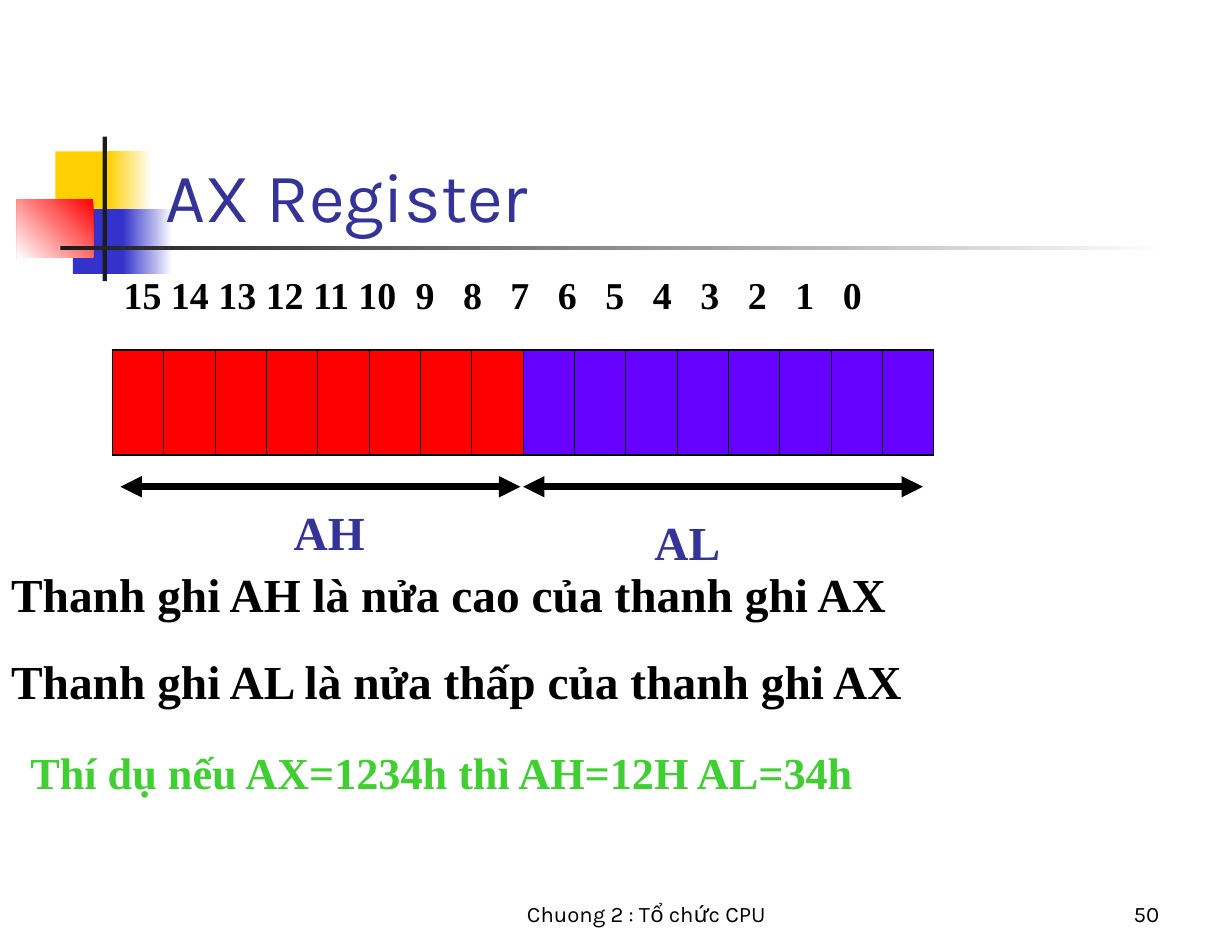
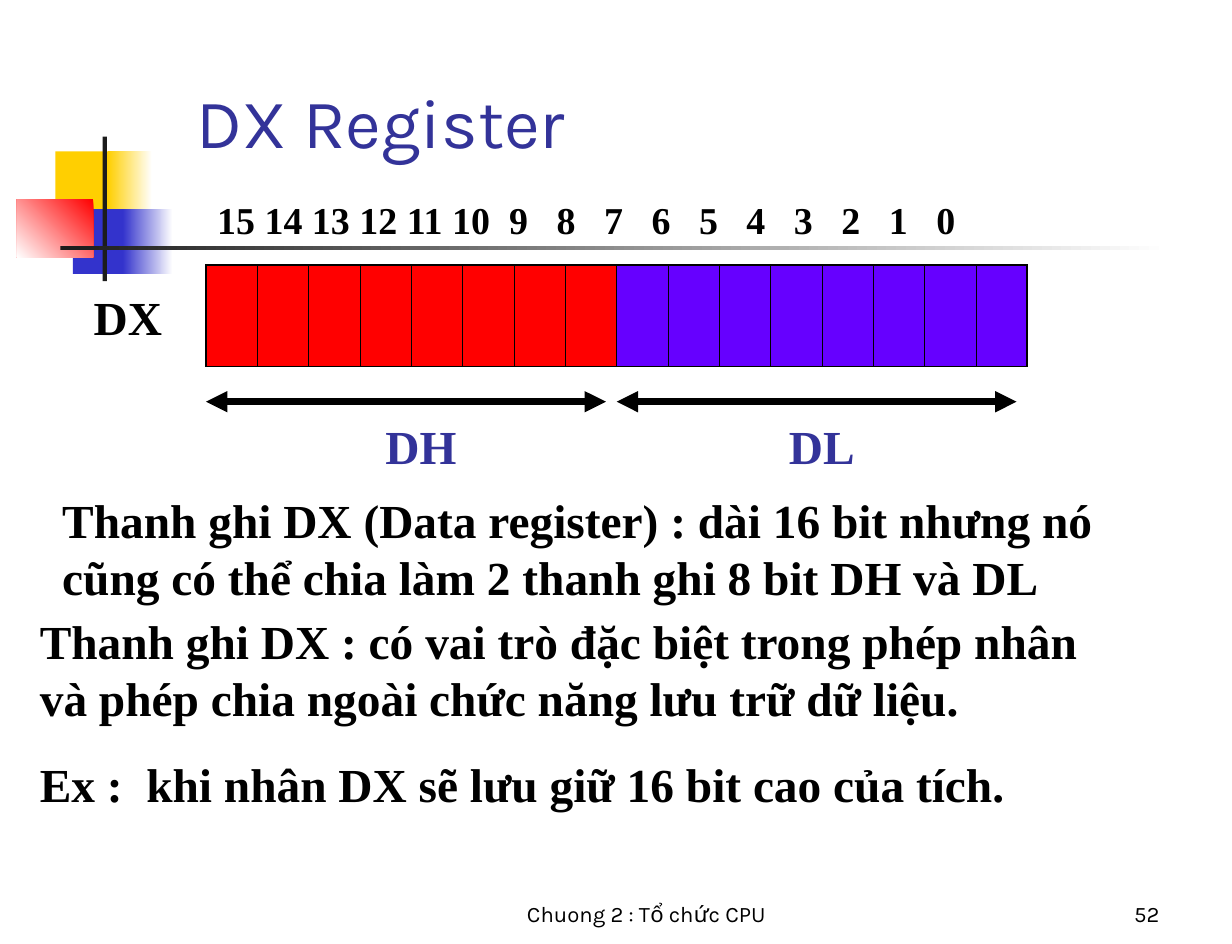
"""Builds two slides on the AX and DX registers."""
import lxml.etree
import pptx
import pptx.dml.color
import pptx.enum.shapes
import pptx.enum.text
import pptx.oxml.ns
import pptx.util

Cm = pptx.util.Cm
Pt = pptx.util.Pt
RGBColor = pptx.dml.color.RGBColor
ALIGN = pptx.enum.text.PP_ALIGN
ANCHOR = pptx.enum.text.MSO_ANCHOR
qn = pptx.oxml.ns.qn

WHITE = RGBColor(0xFF, 0xFF, 0xFF)
BLACK = RGBColor(0x00, 0x00, 0x00)
INK = RGBColor(0x1C, 0x1C, 0x1C)
YELLOW = RGBColor(0xFF, 0xCF, 0x01)
BLUE = RGBColor(0x33, 0x33, 0xCC)
RED = RGBColor(0xFF, 0x00, 0x00)
VIOLET = RGBColor(0x66, 0x00, 0xFF)
NAVY = RGBColor(0x33, 0x33, 0x99)
GREEN = RGBColor(0x40, 0xCF, 0x31)

TITLE = {"name": "Karla", "size": Pt(44)}
FOOTER = {"name": "Karla", "size": Pt(14)}
BODY = {"name": "Times New Roman", "size": Pt(30), "bold": True}
EXAMPLE = {**BODY, "size": Pt(28)}
BITS = {**BODY, "size": Pt(24)}

BIT_COUNT = 16
REGISTER_W = 18.34
FIRST_TAB, TAB_STEP = 6.52, 1.06
ARROW_W = 8.93


class Deck:
    """Holds the presentation style and the current slide."""

    def __init__(self):
        self.prs = pptx.Presentation()
        self.prs.slide_width, self.prs.slide_height = Cm(27.51), Cm(21.08)
        self.s = None

    def slide(self, number, title, x, y):
        self.s = self.prs.slides.add_slide(self.prs.slide_layouts[6])
        self.rect(1.24, 3.38, 1.32, 1.45, YELLOW)
        self.rect(2.41, 3.38, 0.99, 1.45, YELLOW, 0)
        self.rect(1.63, 4.67, 1.27, 1.45, BLUE)
        self.rect(2.74, 4.67, 1.12, 1.45, BLUE, 0)
        self.rect(0.38, 4.45, 1.7, 1.3, RED, 225)
        self.rect(2.29, 3.05, 0.1, 3.23, INK)
        self.rect(1.35, 5.49, 24.74, 0.1, INK, 0)
        self.text(x, y, 13.4, 2.35, [title], TITLE, NAVY, anchor=ANCHOR.BOTTOM)
        self.text(10.08, 19.43, 8.71, 1.4, ["Chuong 2 : Tổ chức CPU"], FOOTER,
                  align=ALIGN.CENTER, anchor=ANCHOR.BOTTOM)
        self.text(20.4, 19.43, 5.74, 1.4, [number], FOOTER,
                  align=ALIGN.RIGHT, anchor=ANCHOR.BOTTOM)

    def rect(self, x, y, w, h, color, fade_angle=None):
        sp = self.s.shapes.add_shape(pptx.enum.shapes.MSO_SHAPE.RECTANGLE,
                                     Cm(x), Cm(y), Cm(w), Cm(h))
        sp.shadow.inherit = False
        sp.line.fill.background()
        if fade_angle is None:
            sp.fill.solid()
            sp.fill.fore_color.rgb = color
            return
        sp.fill.gradient()
        sp.fill.gradient_angle = fade_angle
        for stop, rgb in zip(sp.fill.gradient_stops, (color, WHITE)):
            stop.color.rgb = rgb

    def text(self, x, y, w, h, lines, fmt, color=BLACK, align=ALIGN.LEFT,
             anchor=ANCHOR.TOP):
        sp = self.s.shapes.add_textbox(Cm(x), Cm(y), Cm(w), Cm(h))
        tf = sp.text_frame
        tf.word_wrap = True
        tf.vertical_anchor = anchor
        for i, line in enumerate(lines):
            p = tf.add_paragraph() if i else tf.paragraphs[0]
            p.alignment = align
            if i:
                p.space_before = Pt(18.7)
            r = p.add_run()
            r.text = line
            for key, value in fmt.items():
                setattr(r.font, key, value)
            r.font.color.rgb = color
        return tf

    def label(self, x, y, text, color=NAVY, w=5.5):
        self.text(x, y, w, 1.52, [text], BODY, color, ALIGN.CENTER)

    def bit_numbers(self, x, y):
        high = " ".join(str(n) for n in range(15, 9, -1))
        low = [str(n) for n in range(9, -1, -1)]
        tf = self.text(x, y, 19.02, 1.27, ["\t".join([high, *low])], BITS)
        pPr = tf.paragraphs[0]._p.get_or_add_pPr()
        tabs = lxml.etree.SubElement(pPr, qn("a:tabLst"))
        for i in range(len(low)):
            lxml.etree.SubElement(tabs, qn("a:tab"), algn="l",
                                  pos=str(Cm(FIRST_TAB + i * TAB_STEP)))

    def register(self, x, y, h):
        table = self.s.shapes.add_table(1, BIT_COUNT, Cm(x), Cm(y),
                                        Cm(REGISTER_W), Cm(h)).table
        table.first_row = table.horz_banding = False
        for i, cell in enumerate(table.rows[0].cells):
            cell.fill.solid()
            cell.fill.fore_color.rgb = RED if i < BIT_COUNT // 2 else VIOLET
            outer = {"lnL": i == 0, "lnR": i == BIT_COUNT - 1, "lnT": True, "lnB": True}
            for pos, (side, thick) in enumerate(outer.items()):
                self.border(cell, pos, side, 1.08 if thick else 0.45)

    def border(self, cell, pos, side, width):
        tcPr = cell._tc.get_or_add_tcPr()
        ln = tcPr.makeelement(qn("a:" + side), {"w": str(Pt(width))})
        fill = lxml.etree.SubElement(ln, qn("a:solidFill"))
        lxml.etree.SubElement(fill, qn("a:srgbClr"), val=str(BLACK))
        tcPr.insert(pos, ln)

    def arrow(self, x, y):
        sp = self.s.shapes.add_connector(pptx.enum.shapes.MSO_CONNECTOR.STRAIGHT,
                                         Cm(x), Cm(y), Cm(x + ARROW_W), Cm(y))
        sp.line.color.rgb = BLACK
        sp.line.width = Pt(4.5)
        spPr = sp.element.spPr
        for end in ("a:headEnd", "a:tailEnd"):
            lxml.etree.SubElement(spPr.find(qn("a:ln")), qn(end), type="triangle")
        lxml.etree.SubElement(spPr, qn("a:effectLst"))


def main():
    deck = Deck()

    deck.slide("50", "AX Register", 3.45, 3.05)
    deck.bit_numbers(2.51, 5.94)
    deck.register(2.51, 7.82, 2.34)
    deck.arrow(2.69, 10.87)
    deck.arrow(11.68, 10.87)
    deck.label(4.6, 11.1, "AH")
    deck.label(12.6, 11.33, "AL")
    deck.text(0, 12.5, 25.68, 3.45,
              ["Thanh ghi AH là nửa cao của thanh ghi AX",
               "Thanh ghi AL là nửa thấp của thanh ghi AX"], BODY)
    deck.text(0.43, 16.51, 25, 1.45, ["Thí dụ nếu AX=1234h thì AH=12H AL=34h"],
              EXAMPLE, GREEN, ALIGN.JUSTIFY)

    deck.slide("52", "DX Register", 4.14, 1.4)
    deck.bit_numbers(4.6, 4.27)
    deck.register(4.6, 5.92, 2.26)
    deck.label(1.37, 6.32, "DX", BLACK, 2.97)
    deck.arrow(4.6, 8.97)
    deck.arrow(13.77, 8.97)
    deck.label(6.65, 9.2, "DH")
    deck.label(15.6, 9.2, "DL")
    deck.text(1.14, 10.85, 25.68, 2.79,
              ["Thanh ghi DX (Data register) : dài 16 bit nhưng nó "
               "cũng có thể chia làm 2 thanh ghi 8 bit DH và DL"], BODY)
    deck.text(0.64, 13.54, 24.77, 4.72,
              ["Thanh ghi DX : có vai trò đặc biệt trong phép nhân "
               "và phép chia ngoài chức năng lưu trữ dữ liệu.",
               "Ex :  khi nhân DX sẽ lưu giữ 16 bit cao của tích."], BODY)

    deck.prs.save("out.pptx")


if __name__ == "__main__":
    main()
